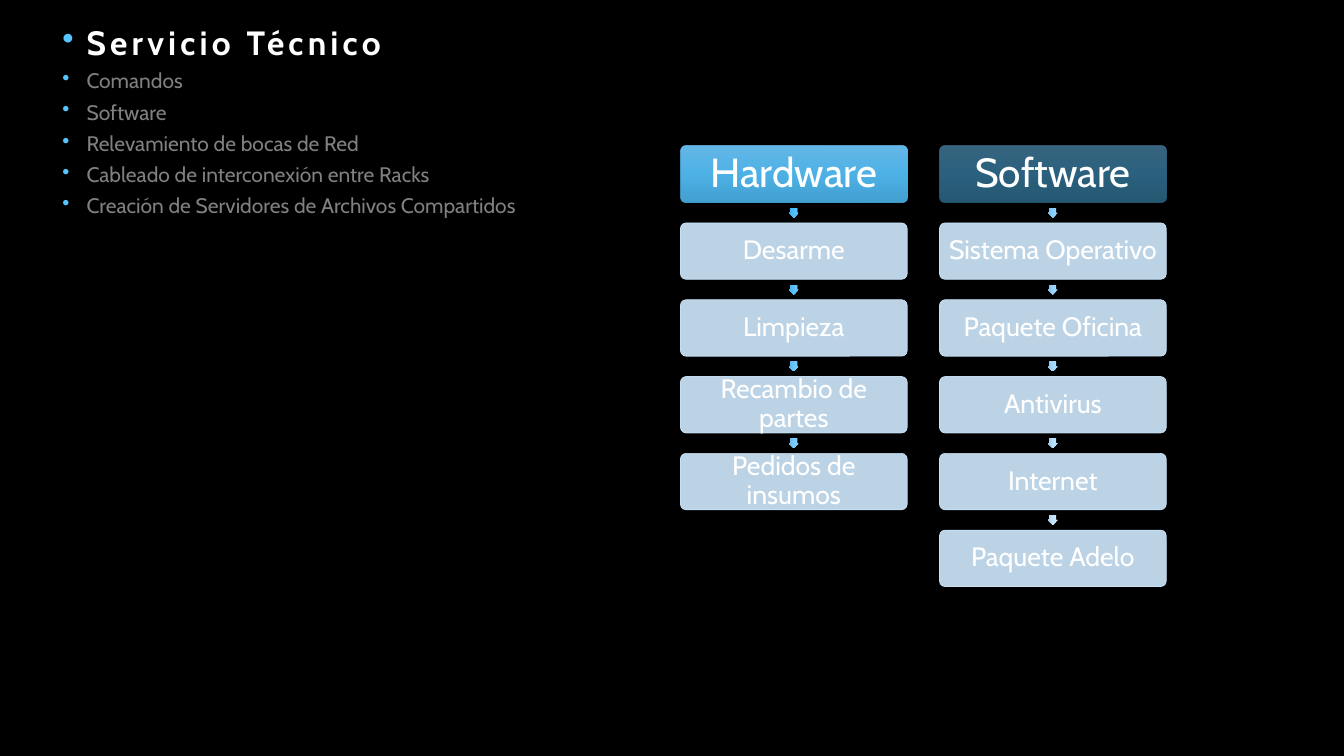
from lxml.etree import SubElement as Sub
from pptx import Presentation
from pptx.dml.color import RGBColor as Rgb
from pptx.enum.shapes import MSO_SHAPE as Kind
from pptx.enum.text import MSO_ANCHOR as Anchor, PP_ALIGN as Align
from pptx.oxml.ns import qn
from pptx.util import Inches, Pt

HEX = {"back": "000000", "text": "FFFFFF", "muted": "808080",
       "bullet": "56C5FF", "card": "D1EAFF"}
HEAD = "70CBFF 56C5FF 4AB0E5"
LEFT, TOP = 6.75, 1.45
WIDE, HIGH = 2.25, 0.56
STEP_X, STEP_Y = 2.57, 0.762
TIP = 0.1

# Title, opacity of the title box, steps, and the shades of the arrow above each step
FLOWS = [
    ("Hardware", 90, [
        ("Desarme", "6BC4F7 4ABFFC 3DABE5"),
        ("Limpieza", "76C8F9 58C3FD 4AAEE5"),
        ("Recambio de partes", "81CCFB 66C7FF 58B1E5"),
        ("Pedidos de insumos", "8CD0FC 76CBFF 66B5E5")]),
    ("Software", 50, [
        ("Sistema Operativo", "99D5FD 85CFFF 74B9E5"),
        ("Paquete Oficina", "A6DAFE 95D4FF 82BDE5"),
        ("Antivirus", "B3DFFF A4D9FF 90C1E5"),
        ("Internet", "C2E4FF B4DFFF 9EC6E5"),
        ("Paquete Adelo", "D0EAFF C4E5FF ACCBE5")]),
]
TOPICS = ["Comandos", "Software", "Relevamiento de bocas de Red",
          "Cableado de interconexión entre Racks",
          "Creación de Servidores de Archivos Compartidos"]


def tint(node, shade, alpha):
    color = Sub(node, qn("a:srgbClr"), val=shade)
    Sub(color, qn("a:alpha"), val=str(alpha * 1000))


def block(kind, x, y, w, h, shades, alpha=100):
    """Add a shape: three shades give a shadowed gradient, one a flat fill with a border."""
    shape = slide.shapes.add_shape(kind, *map(Inches, (x, y, w, h)))
    shape.shadow.inherit = False
    props = shape._element.spPr
    shades = shades.split()
    if len(shades) == 1:
        shape.line.width = Pt(0.5)
        for part in (shape.fill, shape.line.fill):
            part.solid()
            part.fore_color.rgb = Rgb.from_string(shades[0])
        for color in props.iter(qn("a:srgbClr")):
            Sub(color, qn("a:alpha"), val=str(alpha * 1000))
        return shape
    shape.line.fill.background()
    shape.fill.gradient()
    stops = props.find(qn("a:gradFill")).find(qn("a:gsLst"))
    for old in list(stops):
        stops.remove(old)
    for place, shade in enumerate(shades):
        tint(Sub(stops, qn("a:gs"), pos=str(place * 50000)), shade, alpha)
    props.find(qn("a:gradFill")).find(qn("a:lin")).set("ang", "5400000")
    glow = Sub(props.find(qn("a:effectLst")), qn("a:outerShdw"), blurRad=str(Pt(4.5)),
               dist=str(Pt(1.5)), dir="5400000", algn="ctr", rotWithShape="0")
    tint(glow, HEX["back"], 63)
    return shape


deck = Presentation()
deck.slide_width, deck.slide_height = Inches(13.333), Inches(7.5)
slide = deck.slides.add_slide(deck.slide_layouts[6])
slide.background.fill.solid()
slide.background.fill.fore_color.rgb = Rgb.from_string(HEX["back"])

# Topic list
frame = slide.shapes.add_textbox(*map(Inches, (0.52, 0.21, 4.83, 2.13))).text_frame
frame.word_wrap = True
for row, words in enumerate(["Servicio Técnico"] + TOPICS):
    para = frame.add_paragraph() if row else frame.paragraphs[0]
    props = para._p.get_or_add_pPr()
    props.set("marL", str(Inches(0.24)))
    props.set("indent", str(-Inches(0.24)))
    Sub(Sub(props, qn("a:buClr")), qn("a:srgbClr"), val=HEX["bullet"])
    Sub(props, qn("a:buChar"), char="•")
    para.line_spacing = 0.9
    para.space_before = Pt(6 if row else 0)
    run = para.add_run()
    run.text = words
    look = {"name": "Cabin", "size": Pt(15 if row else 24), "bold": not row}
    for key, value in look.items():
        setattr(run.font, key, value)
    run.font.color.rgb = Rgb.from_string(HEX["muted" if row else "text"])
    if not row:
        run._r.get_or_add_rPr().set("spc", "300")

# Flow columns
for col, (title, alpha, steps) in enumerate(FLOWS):
    x = LEFT + col * STEP_X
    for row, (words, shades) in enumerate([(title, HEAD)] + steps):
        y = TOP + row * STEP_Y
        if row:
            arrow = block(Kind.RIGHT_ARROW, x + (WIDE - TIP) / 2,
                          y - (STEP_Y - HIGH + TIP) / 2, TIP, TIP, shades)
            arrow.rotation = 90
            arrow.adjustments[0] = 0.667
            card = block(Kind.ROUNDED_RECTANGLE, x, y, WIDE, HIGH, HEX["card"], 90)
        else:
            card = block(Kind.ROUNDED_RECTANGLE, x, y, WIDE, HIGH, shades, alpha)
        card.adjustments[0] = 0.1
        frame = card.text_frame
        frame.word_wrap = True
        frame.vertical_anchor = Anchor.MIDDLE
        for side in ("left", "top", "right", "bottom"):
            setattr(frame, "margin_" + side, Inches(0.03 if row else 0.04))
        para = frame.paragraphs[0]
        para.alignment = Align.CENTER
        para.line_spacing = 0.9
        run = para.add_run()
        run.text = words
        for key, value in {"name": "Cabin", "size": Pt(19 if row else 29)}.items():
            setattr(run.font, key, value)
        run.font.color.rgb = Rgb.from_string(HEX["text"])

deck.save("out.pptx")
